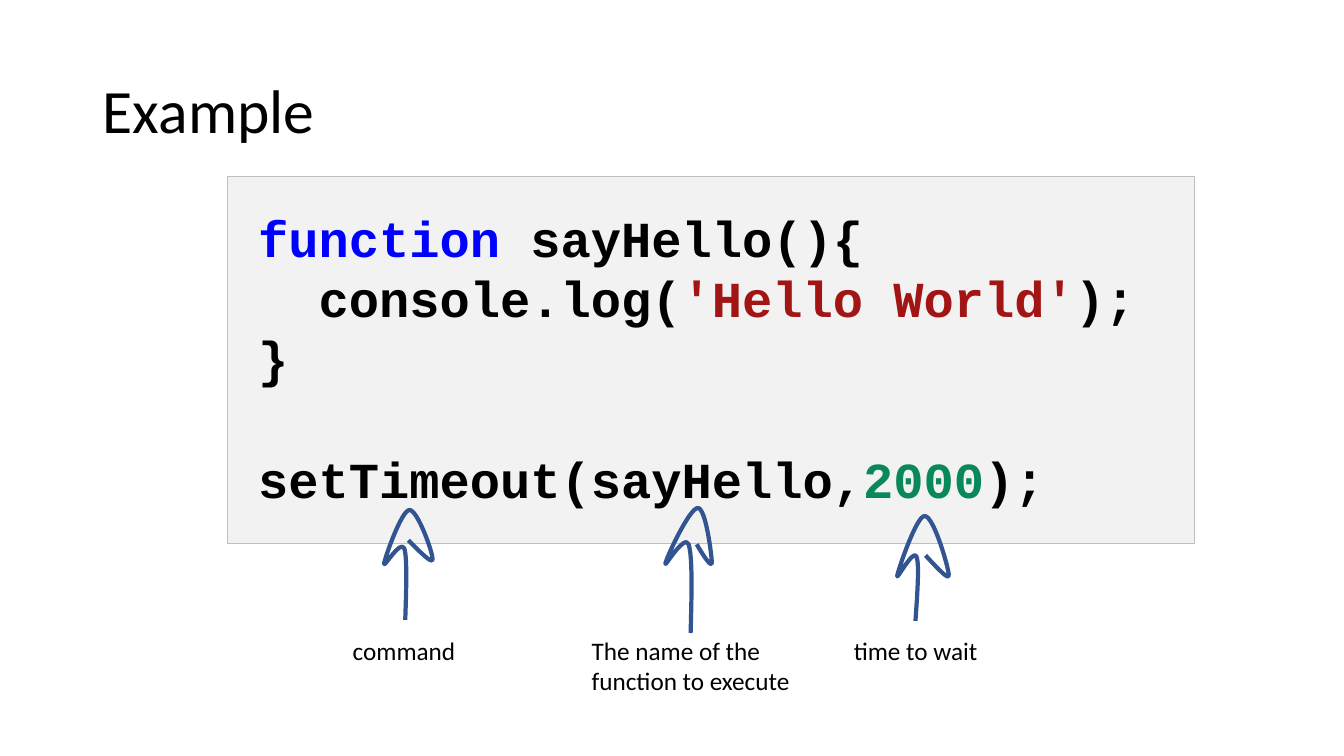
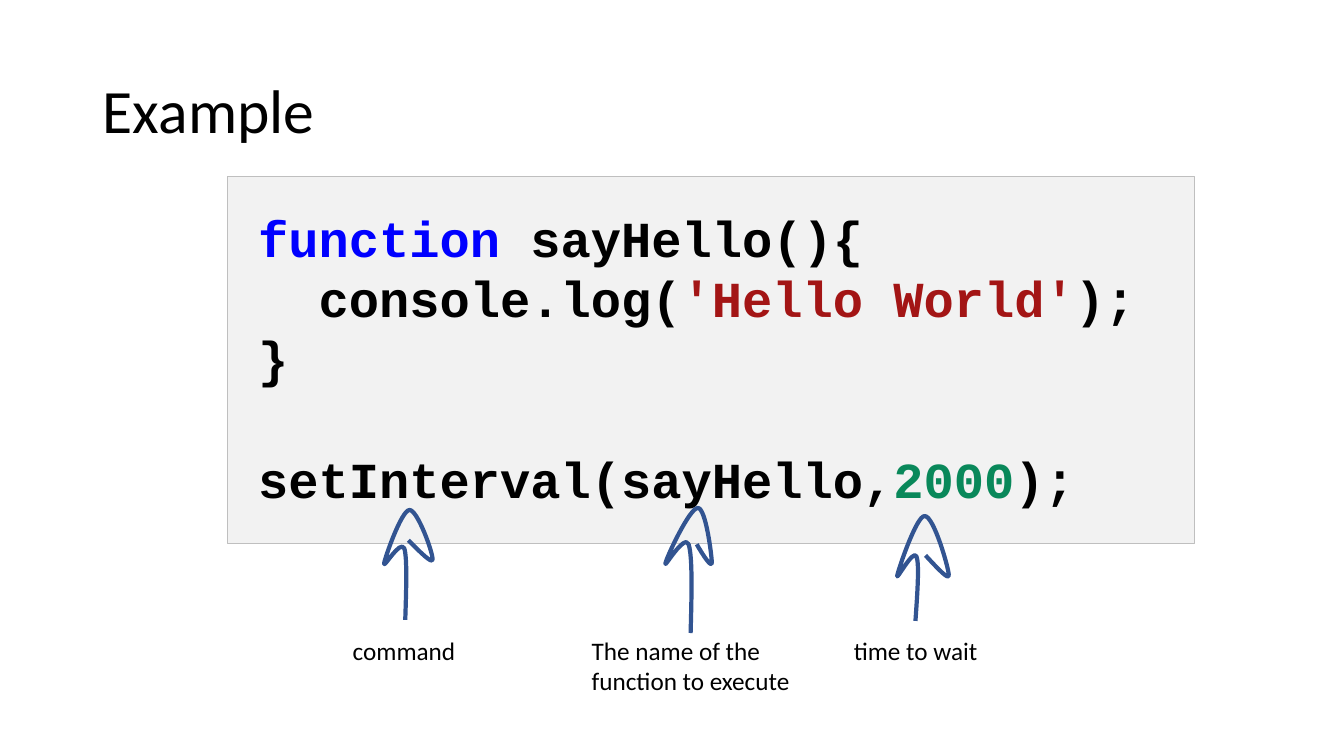
"""Build two slides that explain the arguments of setTimeout and setInterval."""
import dataclasses

import pptx
import pptx.dml.color
import pptx.enum.shapes
import pptx.enum.text
import pptx.oxml
import pptx.oxml.ns
import pptx.util


@dataclasses.dataclass(frozen=True)
class Theme:
    ink: str = "000000"
    keyword: str = "0000FF"
    string: str = "A31515"
    number: str = "09885A"
    panel: str = "F2F2F2"
    border: str = "BFBFBF"
    arrow: str = "325491"
    text_font: str = "Calibri"
    code_font: str = "Courier New"
    title_size: int = 44
    code_size: int = 36
    label_size: int = 18


theme = Theme()
PX = pptx.util.Inches(1) // 100
CODE_INDENT = 60
BLANK_LINE = pptx.util.Pt(43)
color = pptx.dml.color.RGBColor.from_string
qn = pptx.oxml.ns.qn


def style(run, font, size, ink, bold=False):
    run.font.name = font
    run.font.size = pptx.util.Pt(size)
    run.font.bold = bold
    run.font.color.rgb = color(ink)


def bend(shape):
    """Turn each three straight segments of a freeform into one cubic curve."""
    segments = list(shape._element.iter(qn("a:lnTo")))
    for first in range(0, len(segments), 3):
        curve = segments[first]
        curve.tag = qn("a:cubicBezTo")
        for segment in segments[first + 1:first + 3]:
            curve.append(segment[0])
            segment.getparent().remove(segment)


commands = ["setTimeout", "setInterval"]

labels = [
    ("command", 340, 123, 40),
    ("The name of the\nfunction to execute", 577, 219, 71),
    ("time to wait", 837, 144, 40),
]

arrows = [
    [(402, 615), (403, 584), (404, 553), (401, 544), (397, 535), (380, 565), (381, 559),
     (382, 553), (398, 507), (406, 506), (414, 505), (430, 550), (429, 555),
     (429, 560), (417, 548), (405, 536)],
    [(685, 628), (686, 590), (687, 552), (683, 540), (679, 529), (658, 565), (660, 559),
     (661, 553), (684, 504), (692, 504), (700, 503), (706, 552), (706, 558),
     (706, 564), (698, 552), (691, 540)],
    [(908, 616), (910, 588), (912, 559), (909, 552), (906, 544), (888, 578), (890, 571),
     (891, 565), (909, 512), (917, 512), (926, 511), (941, 564), (941, 570),
     (942, 577), (930, 564), (918, 551)],
]

deck = pptx.Presentation()
deck.slide_width = 1333 * PX
deck.slide_height = 750 * PX
title_only = deck.slide_layouts[5]

layout_title = title_only.placeholders[0]
layout_title.left, layout_title.top = 92 * PX, 40 * PX
layout_title.width, layout_title.height = 1150 * PX, 145 * PX
layout_title.text_frame.vertical_anchor = pptx.enum.text.MSO_ANCHOR.MIDDLE

for command in commands:
    slide = deck.slides.add_slide(title_only)

    heading = slide.shapes.title.text_frame
    heading.text = "Example"
    heading.paragraphs[0].alignment = pptx.enum.text.PP_ALIGN.LEFT
    heading.paragraphs[0].line_spacing = 0.9
    style(heading.paragraphs[0].runs[0], theme.text_font, theme.title_size, theme.ink)

    panel = slide.shapes.add_shape(
        pptx.enum.shapes.MSO_SHAPE.RECTANGLE, 226 * PX, 175 * PX, 959 * PX, 364 * PX)
    panel.shadow.inherit = False
    panel.fill.solid()
    panel.fill.fore_color.rgb = color(theme.panel)
    panel.line.color.rgb = color(theme.border)
    panel.line.width = pptx.util.Pt(0.75)

    code = panel.text_frame
    code.word_wrap = True
    code.vertical_anchor = pptx.enum.text.MSO_ANCHOR.TOP
    code.margin_left = code.margin_top = code.margin_bottom = 30 * PX
    code.margin_right = 10 * PX
    code_lines = [
        (0, 0, [("function", theme.keyword), (" sayHello(){", theme.ink)]),
        (CODE_INDENT, 0, [("console.log(", theme.ink), ("'Hello World'", theme.string),
                          (");", theme.ink)]),
        (0, 0, [("}", theme.ink)]),
        (0, BLANK_LINE, [(command + "(sayHello,", theme.ink), ("2000", theme.number),
                         (");", theme.ink)]),
    ]
    for index, (indent, gap, tokens) in enumerate(code_lines):
        line = code.add_paragraph() if index else code.paragraphs[0]
        line.alignment = pptx.enum.text.PP_ALIGN.LEFT
        line.space_before = gap
        line._p.get_or_add_pPr().set("marL", str(indent * PX))
        for token, ink in tokens:
            run = line.add_run()
            run.text = token
            style(run, theme.code_font, theme.code_size, ink, bold=True)

    for words, left, width, height in labels:
        label = slide.shapes.add_textbox(left * PX, 625 * PX, width * PX, height * PX).text_frame
        label.word_wrap = False
        label.auto_size = pptx.enum.text.MSO_AUTO_SIZE.SHAPE_TO_FIT_TEXT
        label.text = words
        for paragraph in label.paragraphs:
            style(paragraph.runs[0], theme.text_font, theme.label_size, theme.ink)

    for tail, *anchors in arrows:
        outline = slide.shapes.build_freeform(*tail, scale=PX)
        outline.add_line_segments(anchors, close=False)
        arrow = outline.convert_to_shape()
        bend(arrow)
        arrow.shadow.inherit = False
        arrow.fill.background()
        arrow.line.color.rgb = color(theme.arrow)
        arrow.line.width = pptx.util.Pt(3)

deck.save("out.pptx")
